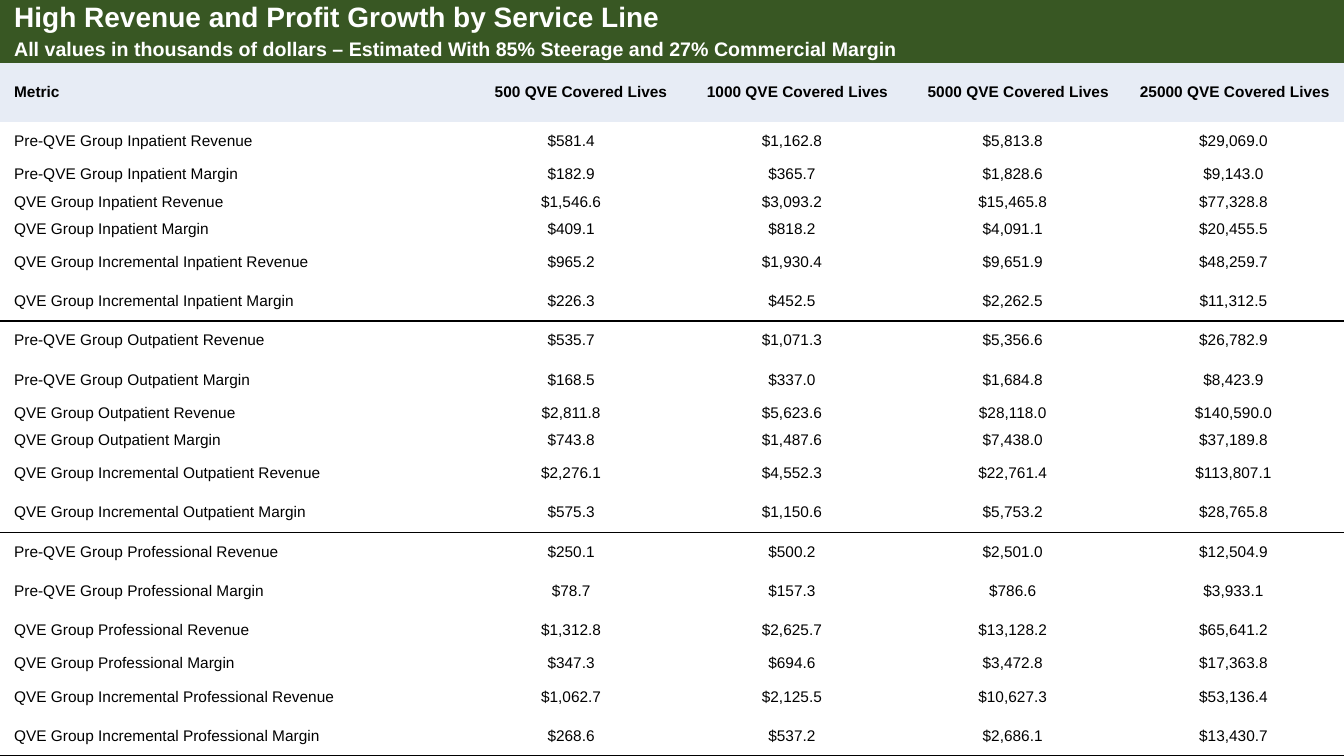
import pptx
import pptx.dml.color
import pptx.enum.text
import pptx.oxml
import pptx.oxml.ns
import pptx.util

RGB = pptx.dml.color.RGBColor
ALIGN = pptx.enum.text.PP_ALIGN
INCH = pptx.util.Inches

GREEN = RGB(0x38, 0x57, 0x23)
PALE = RGB(0xE7, 0xEC, 0xF5)
WHITE = RGB(0xFF, 0xFF, 0xFF)
BLACK = RGB(0x00, 0x00, 0x00)

FONT = "Arial"
PAD = INCH(0.14)
PLAIN = "{2D5ABB26-0587-4C30-8999-92F81FD0307C}"

# Column widths and row heights, as shares of the table
COLS = [4.57] + [2.19] * 4
LOW, TALL = 0.27, 0.39
ROWS = [0.36, LOW, 0.58,
        TALL, LOW, LOW, LOW, TALL, TALL,
        TALL, TALL, LOW, LOW, TALL, TALL,
        TALL, TALL, TALL, LOW, TALL, TALL]

TITLES = [
    ("High Revenue and Profit Growth by Service Line", 20),
    ("All values in thousands of dollars – Estimated With 85% Steerage "
     "and 27% Commercial Margin", 14),
]
FIRM = "QVE"
LIVES = [500, 1000, 5000, 25000]

# Each service line holds revenue and margin rows for three stages
STAGES = [f"Pre-{FIRM} Group", f"{FIRM} Group", f"{FIRM} Group Incremental"]
KINDS = ["Revenue", "Margin"]
DATA = {
    "Inpatient": [
        (581.4, 1162.8, 5813.8, 29069.0),
        (182.9, 365.7, 1828.6, 9143.0),
        (1546.6, 3093.2, 15465.8, 77328.8),
        (409.1, 818.2, 4091.1, 20455.5),
        (965.2, 1930.4, 9651.9, 48259.7),
        (226.3, 452.5, 2262.5, 11312.5),
    ],
    "Outpatient": [
        (535.7, 1071.3, 5356.6, 26782.9),
        (168.5, 337.0, 1684.8, 8423.9),
        (2811.8, 5623.6, 28118.0, 140590.0),
        (743.8, 1487.6, 7438.0, 37189.8),
        (2276.1, 4552.3, 22761.4, 113807.1),
        (575.3, 1150.6, 5753.2, 28765.8),
    ],
    "Professional": [
        (250.1, 500.2, 2501.0, 12504.9),
        (78.7, 157.3, 786.6, 3933.1),
        (1312.8, 2625.7, 13128.2, 65641.2),
        (347.3, 694.6, 3472.8, 17363.8),
        (1062.7, 2125.5, 10627.3, 53136.4),
        (268.6, 537.2, 2686.1, 13430.7),
    ],
}


def write(cell, text, size=11, color=BLACK, bold=False, align=ALIGN.LEFT):
    """Put formatted text in a cell."""
    cell.margin_left = cell.margin_right = 0
    cell.margin_top = cell.margin_bottom = 0
    cell.vertical_anchor = pptx.enum.text.MSO_ANCHOR.MIDDLE
    cell.text_frame.text = text
    para = cell.text_frame.paragraphs[0]
    para.alignment = align
    props = para._p.get_or_add_pPr()
    for side in ("marL", "marR"):
        props.set(side, str(PAD))
    props.set("indent", "0")
    font = para.runs[0].font
    font.name, font.size, font.bold = FONT, pptx.util.Pt(size), bold
    font.color.rgb = color


def paint(cell, color):
    cell.fill.solid()
    cell.fill.fore_color.rgb = color


def rule(cell, side, shown=True):
    """Draw a one-point line on a side of a cell, or clear that side."""
    fill = (f'<a:solidFill><a:srgbClr val="{BLACK}"/></a:solidFill>'
            if shown else "<a:noFill/>")
    line = pptx.oxml.parse_xml(
        f'<a:{side} {pptx.oxml.ns.nsdecls("a")} w="12700">{fill}</a:{side}>')
    cell._tc.get_or_add_tcPr().insert(0, line)


def band(grid):
    """Fill the two merged title rows."""
    for row, (text, size) in enumerate(TITLES):
        for col in range(len(COLS)):
            paint(grid.cell(row, col), GREEN)
        grid.cell(row, 0).merge(grid.cell(row, len(COLS) - 1))
        write(grid.cell(row, 0), text, size, WHITE, True)


def heads(grid, row):
    """Fill the column headings."""
    names = ["Metric"] + [f"{count} {FIRM} Covered Lives" for count in LIVES]
    for col, name in enumerate(names):
        cell = grid.cell(row, col)
        paint(cell, PALE)
        write(cell, name, bold=True, align=ALIGN.RIGHT if col else ALIGN.LEFT)


def block(grid, top, care, lines):
    """Fill the rows of one service line and rule it off."""
    names = [f"{stage} {care} {kind}" for stage in STAGES for kind in KINDS]
    for row, (name, values) in enumerate(zip(names, lines), top):
        write(grid.cell(row, 0), name)
        for col, value in enumerate(values, 1):
            write(grid.cell(row, col), f"${value:,.1f}", align=ALIGN.CENTER)
        for col in range(len(COLS)):
            grid.cell(row, col).fill.background()
    end = top + len(lines)
    for col in range(len(COLS)):
        rule(grid.cell(end - 1, col), "lnB")
        if end < len(ROWS):
            rule(grid.cell(end, col), "lnB", shown=False)
            rule(grid.cell(end, col), "lnT")


def table(slide, left, top, width, height):
    """Place the whole table in the given box."""
    grid = slide.shapes.add_table(
        len(ROWS), len(COLS), left, top, width, height).table
    grid.first_row = grid.horz_banding = False
    grid._tbl.tblPr.find(pptx.oxml.ns.qn("a:tableStyleId")).text = PLAIN
    for col, share in zip(grid.columns, COLS):
        col.width = int(width * share / sum(COLS))
    for row, share in zip(grid.rows, ROWS):
        row.height = int(height * share / sum(ROWS))
    band(grid)
    start = len(TITLES)
    heads(grid, start)
    start += 1
    for care, lines in DATA.items():
        block(grid, start, care, lines)
        start += len(lines)


def main():
    deck = pptx.Presentation()
    deck.slide_width, deck.slide_height = INCH(13.33), INCH(7.5)
    slide = deck.slides.add_slide(deck.slide_layouts[6])
    table(slide, 0, 0, deck.slide_width, deck.slide_height)
    deck.save("out.pptx")


if __name__ == "__main__":
    main()
